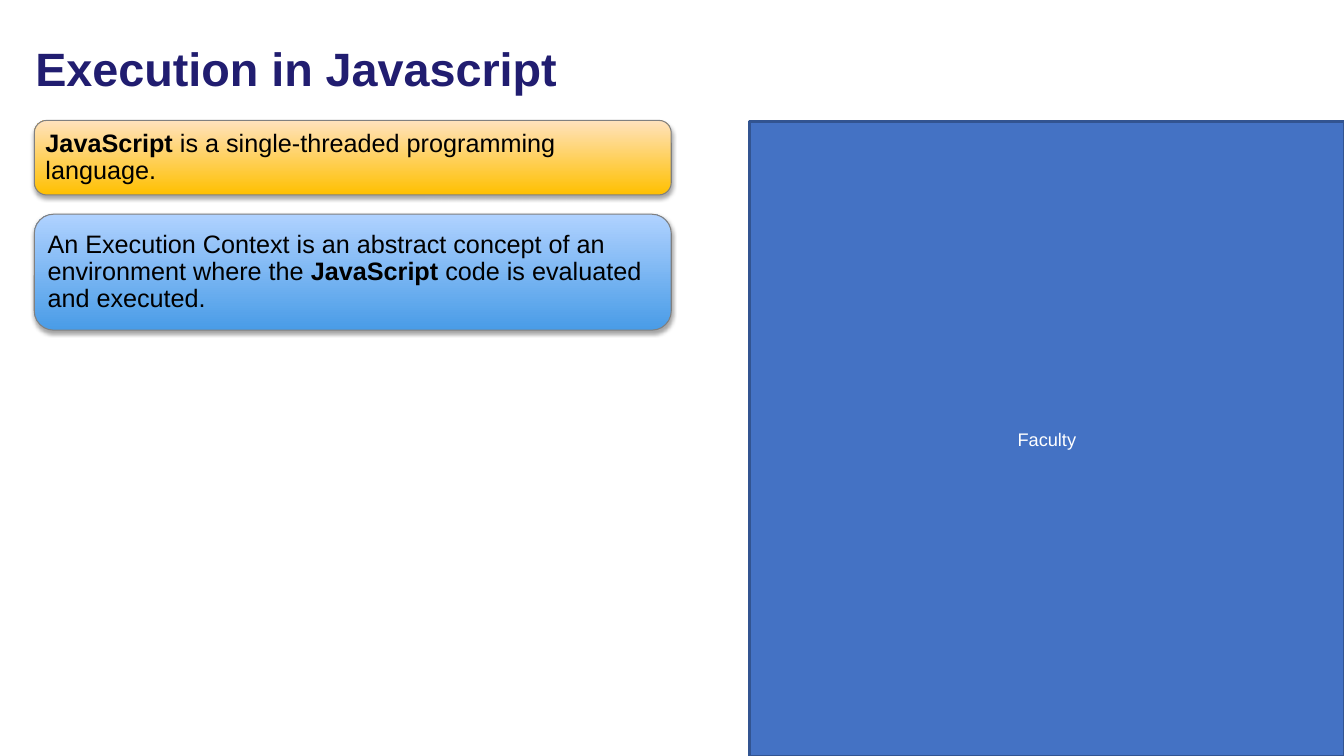
from dataclasses import dataclass

from lxml import etree
from pptx import Presentation
from pptx.dml.color import RGBColor
from pptx.enum.shapes import MSO_SHAPE
from pptx.enum.text import MSO_ANCHOR, MSO_AUTO_SIZE, PP_ALIGN
from pptx.oxml.ns import qn
from pptx.util import Pt

RECT, ROUNDED = MSO_SHAPE.RECTANGLE, MSO_SHAPE.ROUNDED_RECTANGLE
MIDDLE = MSO_ANCHOR.MIDDLE
LEFT, CENTER = PP_ALIGN.LEFT, PP_ALIGN.CENTER
NO_AUTOFIT = MSO_AUTO_SIZE.NONE

TITLE = "Execution in Javascript"
PANEL = "Faculty"
CARDS = [
    {
        "runs": [("JavaScript", True),
                 (" is a single-threaded programming language.", False)],
        "gradient": ("FFC000", "FFE2BD"),
        "height": 53.3,
    },
    {
        "runs": [("An Execution Context is an abstract concept of an environment where the ", False),
                 ("JavaScript", True),
                 (" code is evaluated and executed.", False)],
        "gradient": ("499CE7", "B0D2FF"),
        "height": 82.8,
    },
]


@dataclass(frozen=True)
class Theme:
    font: str = "Arial"
    title: str = "211D70"
    body: str = "000000"
    panel: str = "4472C4"
    panel_line: str = "325491"
    panel_text: str = "FFFFFF"
    card_line: str = "808080"
    shadow: str = "000000"
    title_size: float = 33.4
    body_size: float = 18
    panel_size: float = 13


THEME = Theme()
SLIDE_W, SLIDE_H = 960, 540
CARD_X, CARD_Y, CARD_W, CARD_GAP = 24.5, 86, 455, 13.7
PANEL_X, PANEL_Y = 535.5, 87


def style_run(r, size, color, bold=False):
    r.font.name = THEME.font
    r.font.size = Pt(size)
    r.font.bold = bold
    r.font.color.rgb = RGBColor.from_string(color)


def set_frame(tf, side, top):
    tf.word_wrap = True
    tf.auto_size = NO_AUTOFIT
    tf.vertical_anchor = MIDDLE
    tf.margin_left = tf.margin_right = Pt(side)
    tf.margin_top = tf.margin_bottom = Pt(top)


def add_box(s, kind, x, y, w, h, line, line_width):
    sp = s.shapes.add_shape(kind, Pt(x), Pt(y), Pt(w), Pt(h))
    sp.shadow.inherit = False
    sp.line.color.rgb = RGBColor.from_string(line)
    sp.line.width = Pt(line_width)
    return sp


def add_shadow(sp):
    effects = sp._element.spPr.find(qn("a:effectLst"))
    shadow = etree.SubElement(effects, qn("a:outerShdw"), blurRad=str(Pt(3.1)),
                              dist=str(Pt(1.8)), dir="5400000", rotWithShape="0")
    color = etree.SubElement(shadow, qn("a:srgbClr"), val=THEME.shadow)
    etree.SubElement(color, qn("a:alpha"), val="35000")


def add_panel(s):
    sp = add_box(s, RECT, PANEL_X, PANEL_Y, SLIDE_W - PANEL_X, SLIDE_H - PANEL_Y,
                 THEME.panel_line, 2)
    sp.fill.solid()
    sp.fill.fore_color.rgb = RGBColor.from_string(THEME.panel)
    tf = sp.text_frame
    set_frame(tf, 7.2, 3.6)
    p = tf.paragraphs[0]
    p.text = PANEL
    p.alignment = CENTER
    style_run(p.runs[0], THEME.panel_size, THEME.panel_text)


def add_title(s):
    sp = s.shapes.title
    sp.left, sp.top, sp.width, sp.height = Pt(18), Pt(18), Pt(850), Pt(65.5)
    tf = sp.text_frame
    set_frame(tf, 7.2, 3.6)
    p = tf.paragraphs[0]
    p.text = TITLE
    p.alignment = LEFT
    p.line_spacing = 0.9
    style_run(p.runs[0], THEME.title_size, THEME.title, True)


def add_card(s, card, y):
    sp = add_box(s, ROUNDED, CARD_X, y, CARD_W, card["height"], THEME.card_line, 0.75)
    sp.fill.gradient()
    sp.fill.gradient_angle = 90
    for stop, color in zip(sp.fill.gradient_stops, card["gradient"]):
        stop.color.rgb = RGBColor.from_string(color)
    add_shadow(sp)
    tf = sp.text_frame
    set_frame(tf, 5.4, 5.4)
    p = tf.paragraphs[0]
    p.alignment = LEFT
    p.line_spacing = 0.9
    for text, bold in card["runs"]:
        r = p.add_run()
        r.text = text
        style_run(r, THEME.body_size, THEME.body, bold)


def main():
    prs = Presentation()
    prs.slide_width, prs.slide_height = Pt(SLIDE_W), Pt(SLIDE_H)
    s = prs.slides.add_slide(prs.slide_layouts[5])
    add_panel(s)
    add_title(s)
    y = CARD_Y
    for card in CARDS:
        add_card(s, card, y)
        y += card["height"] + CARD_GAP
    prs.save("out.pptx")


if __name__ == "__main__":
    main()
